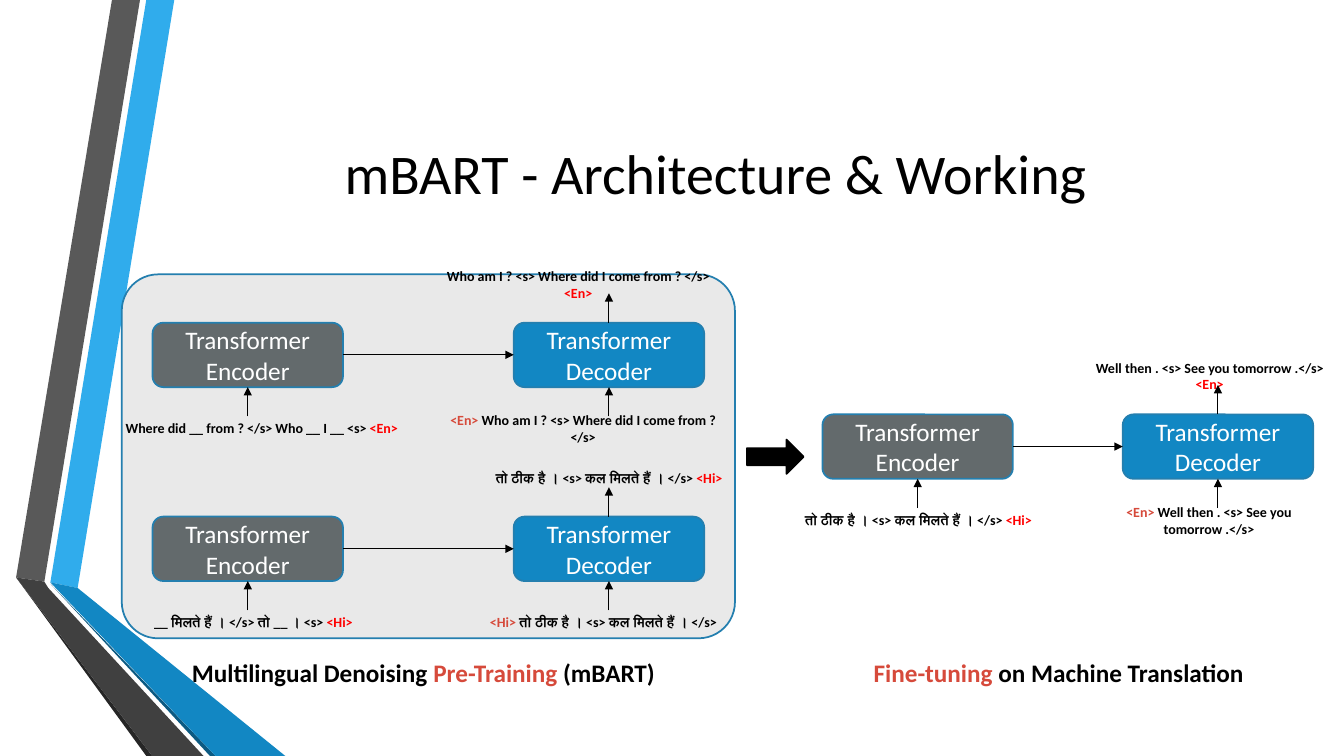
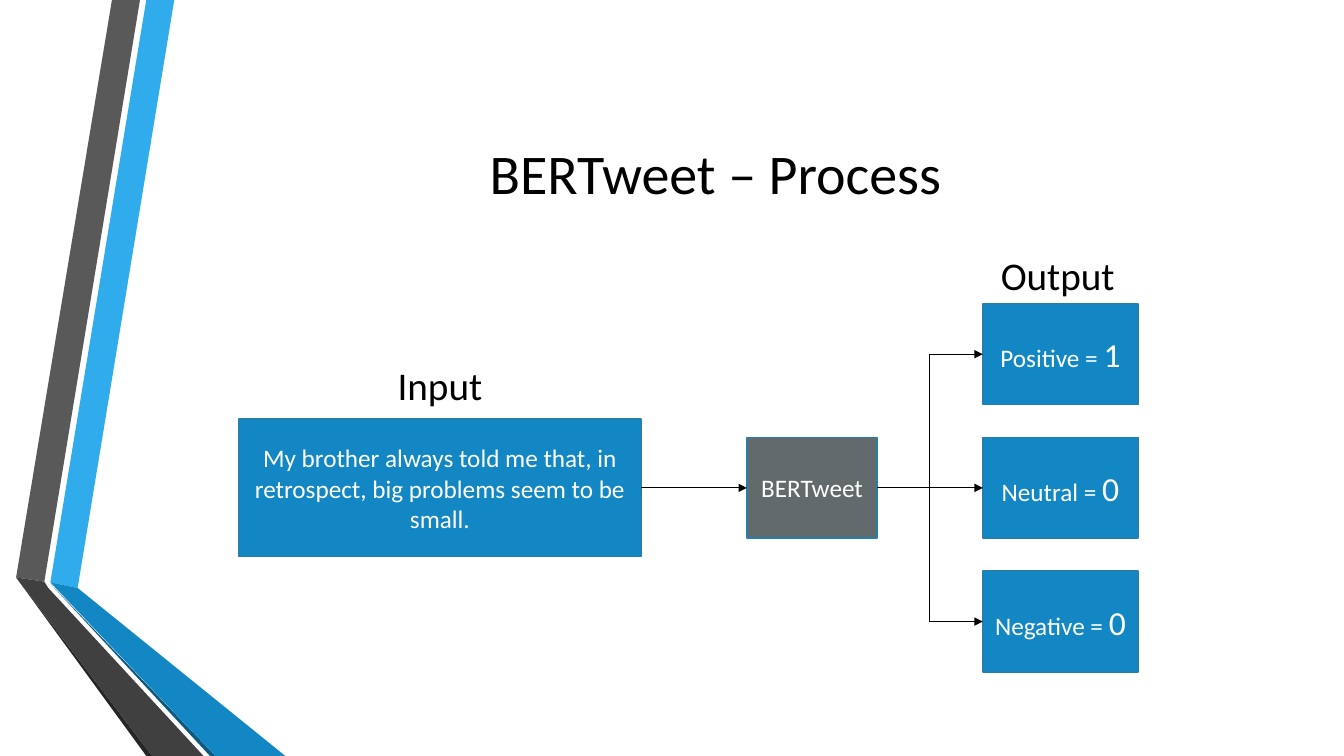
from typing import NamedTuple

from lxml import etree
from pptx import Presentation
from pptx import util as u
from pptx.dml.color import RGBColor
from pptx.enum import shapes, text
from pptx.oxml.ns import qn

Pt = u.Pt
SHAPE = shapes.MSO_SHAPE
LINE = shapes.MSO_CONNECTOR
ALIGN = text.PP_ALIGN
ANCHOR = text.MSO_ANCHOR
TOP, LEFT, BOTTOM, RIGHT = range(4)

FONT = "Calibri"
WHITE = RGBColor(0xFF, 0xFF, 0xFF)
BLACK = RGBColor(0x00, 0x00, 0x00)
BLUE = RGBColor(0x12, 0x87, 0xC3)
LIGHT_BLUE = RGBColor(0x30, 0xAC, 0xEC)
DEEP_BLUE = RGBColor(0x0C, 0x5A, 0x82)
OUTLINE = RGBColor(0x24, 0x7F, 0xAF)
SLATE = RGBColor(0x63, 0x6A, 0x6C)
GREY = RGBColor(0x59, 0x59, 0x59)
CHARCOAL = RGBColor(0x40, 0x40, 0x40)
NEAR_BLACK = RGBColor(0x26, 0x26, 0x26)
PANEL = RGBColor(0xE9, 0xE9, 0xE9)
RED = RGBColor(0xFF, 0x00, 0x00)
BRICK = RGBColor(0xD6, 0x4A, 0x3B)

RIBBONS = [
    (LIGHT_BLUE, [(36, 416), (55.5, 420), (124.5, 0), (104.5, 0)]),
    (GREY, [(100, 0), (80, 0), (11.5, 412.5), (31.7, 415.5)]),
    (NEAR_BLACK, [(11.5, 412.5), (104.5, 540), (108.7, 540)]),
    (DEEP_BLUE, [(36, 417), (150, 540), (154, 540)]),
    (BLUE, [(36, 416), (154, 540), (203.8, 540), (55.5, 420)]),
    (CHARCOAL, [(11.5, 412.5), (108.7, 540), (145.4, 540), (34.5, 420), (31.7, 415.5)]),
]


class Box(NamedTuple):
    left: float
    top: float
    width: float
    height: float

    @property
    def center(self):
        return self.left + self.width / 2

    @property
    def middle(self):
        return self.top + self.height / 2

    def lengths(self):
        return [Pt(value) for value in self]


class Label(NamedTuple):
    """Sentence around a model, shifted sideways from the model's center."""
    runs: list
    shift: float


def write_text(frame, *runs, size=18, color=BLACK, bold=False, align=ALIGN.CENTER,
               anchor=ANCHOR.MIDDLE, wrap=True):
    """Fill the frame; a run is a string or a (string, colour, size) tuple."""
    frame.word_wrap = wrap
    frame.vertical_anchor = anchor
    paragraph = frame.paragraphs[0]
    paragraph.alignment = align
    for item in runs:
        words, run_color, run_size = (item, color, size) if isinstance(item, str) else item
        run = paragraph.add_run()
        run.text = words
        font = run.font
        font.name, font.size, font.bold = FONT, Pt(run_size), bold
        font.color.rgb = run_color


def add_label(slide, box, *runs, **style):
    frame = slide.shapes.add_textbox(*box.lengths()).text_frame
    write_text(frame, *runs, wrap=False, **style)


def add_block(slide, box, *runs, kind=SHAPE.RECTANGLE, fill=BLUE, line=OUTLINE):
    shape = slide.shapes.add_shape(kind, *box.lengths())
    shape.shadow.inherit = False
    shape.fill.solid()
    shape.fill.fore_color.rgb = fill
    shape.line.color.rgb = line
    shape.line.width = Pt(1.25)
    if runs:
        write_text(shape.text_frame, *runs, color=WHITE)
    return shape


def add_arrow(slide, begin, end, kind=LINE.STRAIGHT):
    """Join two ends, each a (shape, side) pair or an (x, y) point."""
    is_point = [isinstance(place[0], (int, float)) for place in (begin, end)]
    start = begin if is_point[0] else (0, 0)
    finish = end if is_point[1] else (0, 0)
    connector = slide.shapes.add_connector(kind, *[Pt(value) for value in (*start, *finish)])
    if not is_point[0]:
        connector.begin_connect(*begin)
    if not is_point[1]:
        connector.end_connect(*end)
    connector.line.color.rgb = BLACK
    connector.line.width = Pt(0.75)
    properties = connector.element.find(qn("p:spPr"))
    etree.SubElement(properties.find(qn("a:ln")), qn("a:tailEnd"), type="triangle")
    etree.SubElement(properties, qn("a:effectLst"))


def add_ribbons(slide):
    """Draw the ribbons and hand them to the slide's layout."""
    for color, points in RIBBONS:
        start, *others = [(Pt(x), Pt(y)) for x, y in points]
        builder = slide.shapes.build_freeform(*start)
        builder.add_line_segments(others)
        ribbon = builder.convert_to_shape()
        ribbon.shadow.inherit = False
        ribbon.fill.solid()
        ribbon.fill.fore_color.rgb = color
        ribbon.line.fill.background()
        slide.slide_layout.shapes.element.append(ribbon.element)


def add_titled_slide(presentation, title):
    slide = presentation.slides.add_slide(presentation.slide_layouts[5])
    holder = slide.shapes.title
    holder.left, holder.top, holder.width, holder.height = Box(116.5, 54, 789, 138).lengths()
    write_text(holder.text_frame, title, size=40)
    return slide


def draw_encoder_decoder(slide, box, source, target_in, target_out, label_width=216):
    """Encoder at the box's left, decoder at its right, sentences above and below."""
    width, height, label_height, arrow_length = 136, 46, 16, 21
    top = box.top + 35.5
    encoder_box = Box(box.left, top, width, height)
    decoder_box = Box(box.left + box.width - width, top, width, height)
    encoder, decoder = [
        add_block(slide, model_box, words, kind=SHAPE.ROUNDED_RECTANGLE, fill=fill)
        for model_box, words, fill in [
            (encoder_box, "Transformer Encoder", SLATE),
            (decoder_box, "Transformer Decoder", BLUE),
        ]
    ]
    below = box.top + box.height - label_height
    for model_box, label, label_top in [
        (encoder_box, source, below),
        (decoder_box, target_in, below),
        (decoder_box, target_out, box.top),
    ]:
        label_box = Box(model_box.center + label.shift - label_width / 2, label_top,
                        label_width, label_height)
        add_label(slide, label_box, *label.runs, size=10, bold=True)
    for model, model_box in [(encoder, encoder_box), (decoder, decoder_box)]:
        add_arrow(slide, (model_box.center, top + height + arrow_length), (model, BOTTOM))
    add_arrow(slide, (decoder, TOP), (decoder_box.center, top - arrow_length))
    add_arrow(slide, (encoder, RIGHT), (decoder, LEFT))


def add_caption(slide, left, top, width, *runs):
    add_label(slide, Box(left, top, width, 29), *runs, bold=True,
              align=ALIGN.LEFT, anchor=ANCHOR.TOP)


def draw_pretraining(slide, box):
    panel = add_block(slide, box, kind=SHAPE.ROUNDED_RECTANGLE, fill=PANEL)
    panel.adjustments[0] = 0.1
    english = "Who am I ? <s> Where did I come from ? </s>"
    hindi = "तो ठीक है । <s> कल मिलते हैं । </s>"
    rows = [
        (Label(["Where did __ from ? </s> Who __ I __ <s> ", ("<En>", RED, 10)], 10),
         Label([("<En>", BRICK, 10), " " + english], -18.5),
         Label([english + " ", ("<En>", RED, 10)], -22)),
        (Label(["__ मिलते हैं । </s> तो __ । <s> ", ("<Hi>", RED, 10)], 4),
         Label([("<Hi> ", BRICK, 10), hindi], -4),
         Label([hindi + " ", ("<Hi>", RED, 10)], 0)),
    ]
    for index, labels in enumerate(rows):
        row_box = Box(box.left + 22, box.top - 1 + 138.5 * index, 394, 119)
        draw_encoder_decoder(slide, row_box, *labels)
    add_caption(slide, box.left + 43, box.top + 270, 366, "Multilingual Denoising ",
                ("Pre-Training", BRICK, 18), " (mBART)")


def draw_fine_tuning(slide, box):
    english = "Well then . <s> See you tomorrow .</s>"
    draw_encoder_decoder(
        slide, Box(box.left, box.top + 64.5, box.width, 119),
        Label(["तो ठीक है । <s> कल मिलते हैं । </s> ", ("<Hi>", RED, 10)], 0.5),
        Label([("<En>", BRICK, 10), " " + english], -6.5),
        Label([english + " ", ("<En>", RED, 10)], -6),
        label_width=190,
    )
    add_caption(slide, box.left + 29.5, box.top + 270, 291,
                ("Fine-tuning", BRICK, 18), " on Machine Translation")


def draw_process(slide, box):
    """Input text at the left, model between, one output for each class at the right."""
    heading_height, output_height, step = 41, 72, 95.5
    output_width = 111
    output_left = box.left + box.width - output_width
    middle = box.top + heading_height + step + output_height / 2
    input_box = Box(box.left, middle - 49, 287.5, 98)
    model_box = Box(box.left + 363, middle - 36, 93, 72)

    sentence = add_block(slide, input_box, "My brother always told me that, in "
                         "retrospect, big problems seem to be small.")
    model = add_block(slide, model_box, "BERTweet", fill=SLATE)
    add_arrow(slide, (sentence, RIGHT), (model, LEFT))
    outputs = [("Positive", "1"), ("Neutral", "0"), ("Negative", "0")]
    for index, (name, value) in enumerate(outputs):
        output_box = Box(output_left, box.top + heading_height + step * index,
                         output_width, output_height)
        output = add_block(slide, output_box, f"{name} = ", (value, WHITE, 24))
        kind = LINE.STRAIGHT if output_box.middle == middle else LINE.ELBOW
        add_arrow(slide, (model, RIGHT), (output, LEFT), kind)

    input_heading = Box(input_box.center - 38, input_box.top - 45, 76, heading_height)
    output_heading = Box(output_left + 4, box.top, 99, heading_height)
    add_label(slide, input_heading, "Input", size=28)
    add_label(slide, output_heading, "Output", size=28)


def main():
    presentation = Presentation()
    presentation.slide_width, presentation.slide_height = Pt(960), Pt(540)

    architecture = add_titled_slide(presentation, "mBART - Architecture & Working")
    add_ribbons(architecture)
    draw_pretraining(architecture, Box(87, 196, 438, 260))
    add_block(architecture, Box(533.5, 314, 40.5, 24.5), kind=SHAPE.RIGHT_ARROW,
              fill=BLACK, line=BLACK)
    draw_fine_tuning(architecture, Box(587.5, 196, 350.5, 260))

    process = add_titled_slide(presentation, "BERTweet – Process")
    draw_process(process, Box(170.5, 176, 642.5, 304))

    presentation.save("out.pptx")


if __name__ == "__main__":
    main()
